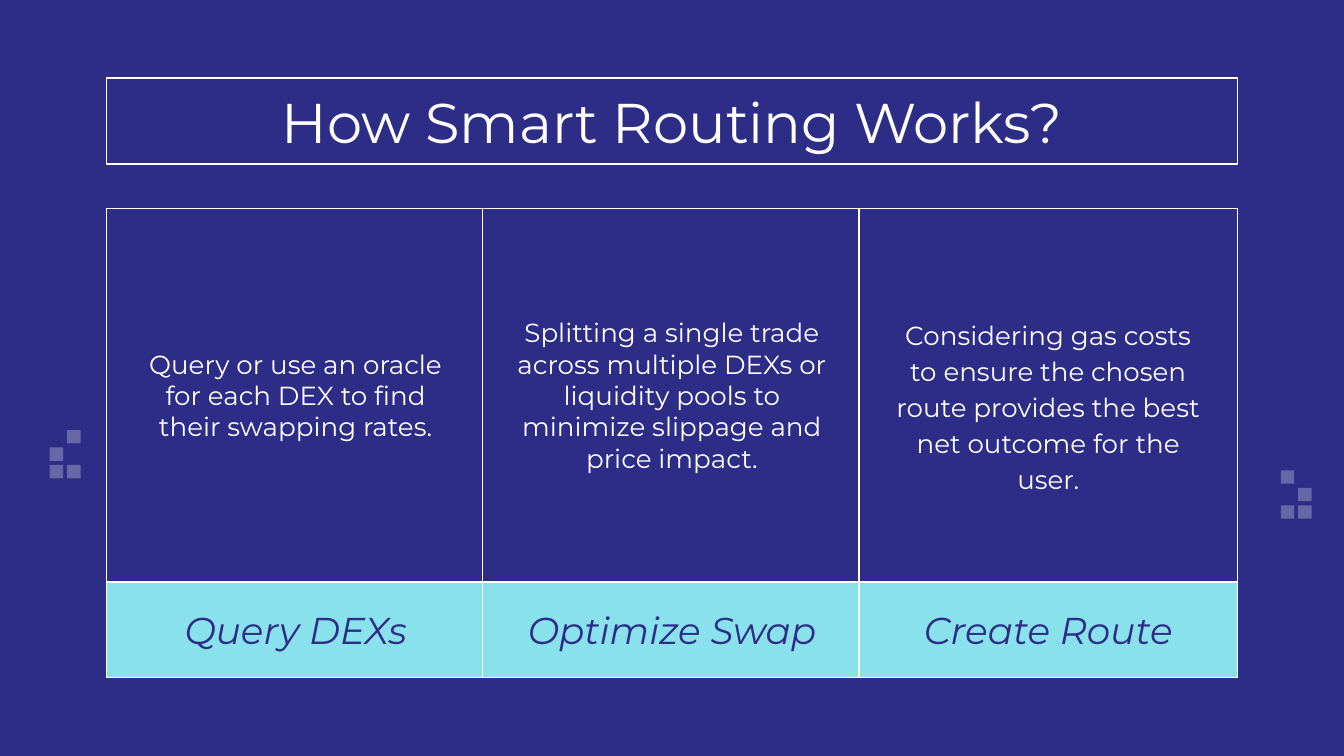
from lxml import etree
from pptx import Presentation
from pptx.dml.color import RGBColor
from pptx.enum import shapes, text
from pptx.oxml.ns import qn
from pptx.util import Inches, Pt

NAVY = RGBColor(0x2D, 0x2D, 0x87)
AQUA = RGBColor(0x89, 0xE1, 0xEC)
WHITE = RGBColor(0xFF, 0xFF, 0xFF)
FONT = "Montserrat"
INSET = 0.25

# Label, description, line spacing, top inset
STEPS = [
    ("Query DEXs",
     "Query or use an oracle for each DEX to find their swapping rates.",
     1.0, INSET),
    ("Optimize Swap",
     "Splitting a single trade across multiple DEXs or liquidity pools "
     "to minimize slippage and price impact.",
     1.0, INSET),
    ("Create Route",
     "Considering gas costs to ensure the chosen route provides the best "
     "net outcome for the user.",
     1.15, 0.39),
]


def fill_box(sp, box, words, size, fill, color, italic=False,
             spacing=1.0, top_inset=INSET):
    """Place an outlined box and centre one paragraph in it."""
    sp.left, sp.top, sp.width, sp.height = (Inches(v) for v in box)
    sp.fill.solid()
    sp.fill.fore_color.rgb = fill
    sp.line.color.rgb = WHITE
    sp.line.width = Pt(0.75)

    tf = sp.text_frame
    tf.word_wrap = True
    tf.auto_size = text.MSO_AUTO_SIZE.NONE
    tf.vertical_anchor = text.MSO_ANCHOR.MIDDLE
    tf.margin_left = tf.margin_right = tf.margin_bottom = Inches(INSET)
    tf.margin_top = Inches(top_inset)

    p = tf.paragraphs[0]
    p.alignment = text.PP_ALIGN.CENTER
    p.line_spacing = spacing
    p.space_before = p.space_after = Pt(0)
    # No bullet and no hanging indent
    pPr = p._p.get_or_add_pPr()
    pPr.set("marL", "0")
    pPr.set("indent", "0")
    etree.SubElement(pPr, qn("a:buNone"))

    r = p.add_run()
    r.text = words
    r.font.name = FONT
    r.font.size = Pt(size)
    r.font.color.rgb = color
    r.font.bold = False
    r.font.italic = italic


def add_step(s, body, box, step):
    """Description above, aqua label below."""
    left, top, width, height = box
    label, words, spacing, top_inset = step
    label_h = 0.71
    body_h = height - label_h
    sp = s.shapes.add_shape(shapes.MSO_SHAPE.RECTANGLE, 0, 0, 0, 0)
    sp.shadow.inherit = False
    fill_box(sp, (left, top + body_h, width, label_h), label, 20, AQUA, NAVY,
             italic=True)
    fill_box(body, (left, top, width, body_h), words, 14, NAVY, WHITE,
             spacing=spacing, top_inset=top_inset)


def add_pixels(s, left, top, cells):
    """Translucent squares on a small grid of (column, row) cells."""
    side, pitch = 0.1, 0.13
    group = s.shapes.add_group_shape()
    for col, row in cells:
        sp = group.shapes.add_shape(
            shapes.MSO_SHAPE.RECTANGLE,
            Inches(left + col * pitch), Inches(top + row * pitch),
            Inches(side), Inches(side))
        sp.shadow.inherit = False
        sp.fill.solid()
        sp.fill.fore_color.rgb = WHITE
        color = sp.fill._xPr.find(".//" + qn("a:srgbClr"))
        etree.SubElement(color, qn("a:alpha"), val="28000")
        sp.line.fill.background()


def build_slide(prs):
    s = prs.slides.add_slide(prs.slide_layouts.get_by_name("Comparison"))
    s.background.fill.solid()
    s.background.fill.fore_color.rgb = NAVY

    # Side decoration
    add_pixels(s, 0.37, 3.2, [(1, 0), (0, 1), (0, 2), (1, 2)])
    add_pixels(s, 9.53, 3.5, [(0, 0), (1, 1), (0, 2), (1, 2)])

    # Title
    left, width, pitch = 0.79, 2.82, 2.8
    fill_box(s.shapes.title, (left, 0.58, 8.42, 0.64),
             "How Smart Routing Works?", 30, NAVY, WHITE)

    # Three steps side by side
    bodies = list(s.placeholders)[1:]
    for i, (body, step) in enumerate(zip(bodies, STEPS)):
        add_step(s, body, (left + i * pitch, 1.55, width, 3.49), step)

    # Unused placeholders
    for sp in bodies[len(STEPS):]:
        sp.element.getparent().remove(sp.element)


def main():
    prs = Presentation()
    # 16:9 page
    prs.slide_width = Inches(10)
    prs.slide_height = prs.slide_width * 9 // 16
    build_slide(prs)
    prs.save("out.pptx")


if __name__ == "__main__":
    main()
